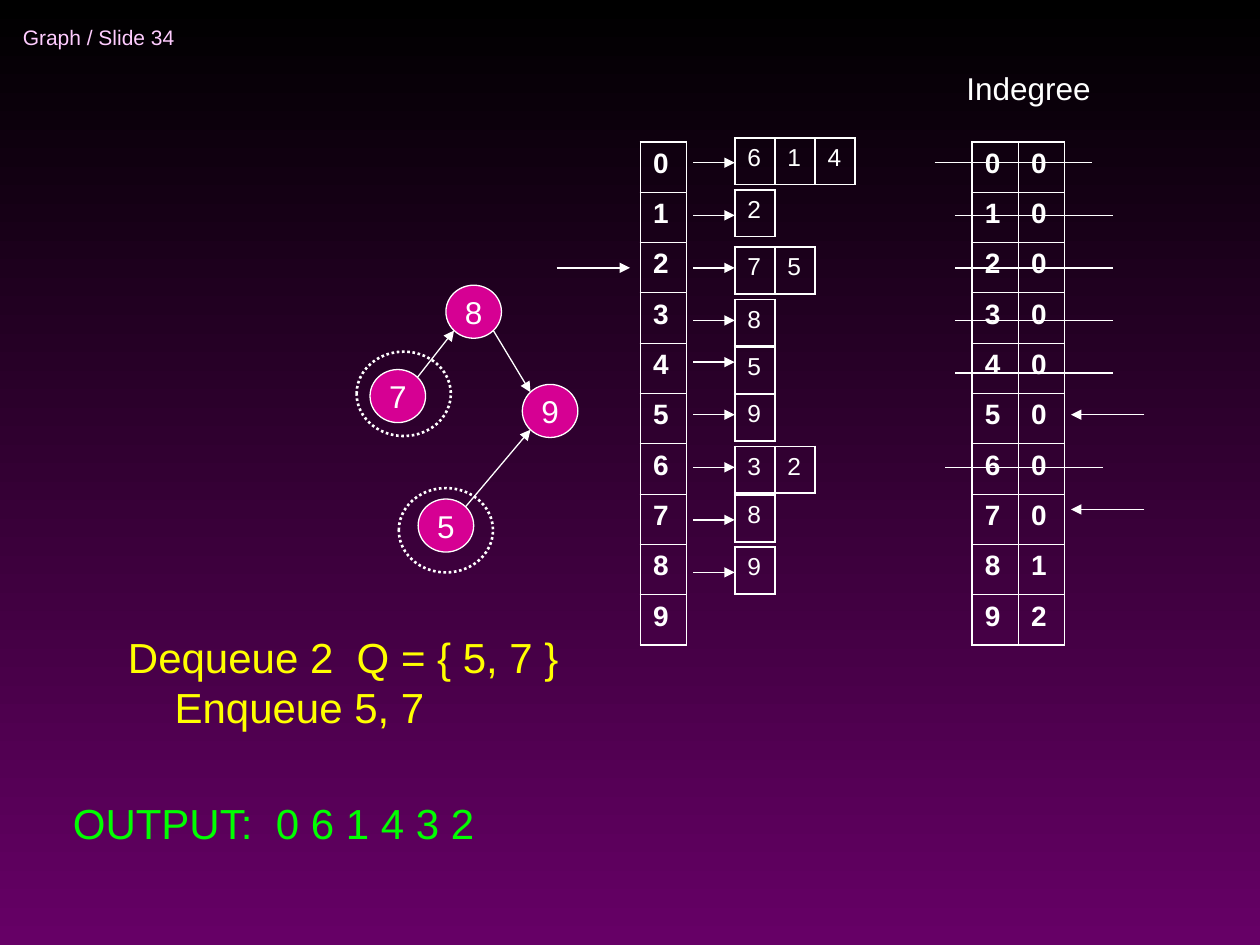
from math import sqrt

from lxml.etree import SubElement
from pptx import Presentation
from pptx.dml.color import RGBColor
from pptx.enum.dml import MSO_LINE
from pptx.enum.shapes import MSO_CONNECTOR, MSO_SHAPE
from pptx.enum.text import MSO_ANCHOR, MSO_AUTO_SIZE, PP_ALIGN
from pptx.oxml.ns import qn
from pptx.util import Cm, Pt

BLACK = RGBColor(0x00, 0x00, 0x00)
PURPLE = RGBColor(0x66, 0x00, 0x66)
WHITE = RGBColor(0xFF, 0xFF, 0xFF)
MAGENTA = RGBColor(0xD6, 0x00, 0x93)
PINK = RGBColor(0xFF, 0xCC, 0xFF)
YELLOW = RGBColor(0xFF, 0xFF, 0x00)
GREEN = RGBColor(0x00, 0xFF, 0x00)


def write_text(paragraph, text, size, color=WHITE, bold=False):
    paragraph.text = text
    font_format = {"name": "Arial", "size": Pt(size), "bold": bold}
    for name, value in font_format.items():
        setattr(paragraph.font, name, value)
    paragraph.font.color.rgb = color


def add_border(cell, side, width):
    """Draw one side (L, R, T or B) of a cell; call in that order."""
    border = SubElement(cell._tc.get_or_add_tcPr(), qn(f"a:ln{side}"), w=str(Pt(width)))
    fill = SubElement(border, qn("a:solidFill"))
    SubElement(fill, qn("a:srgbClr"), val=str(WHITE))


presentation = Presentation()
presentation.slide_width, presentation.slide_height = Cm(25.4), Cm(19.05)
slide = presentation.slides.add_slide(presentation.slide_layouts[6])
background = slide.background.fill
background.gradient()
background.gradient_angle = 270
for stop, color in zip(background.gradient_stops, (BLACK, PURPLE)):
    stop.color.rgb = color

# Text: left, top, width, height, size, color, lines
text_boxes = [
    (0.21, 0.22, 6.99, 1.07, 12, PINK, ["Graph / Slide 34"]),
    (19.23, 1.27, 3.3, 1.02, 18, WHITE, ["Indegree"]),
    (2.33, 12.6, 9.42, 2.29, 24, YELLOW, ["Dequeue 2  Q = { 5, 7 }", "Enqueue 5, 7"]),
    (1.22, 15.95, 9.93, 1.27, 24, GREEN, ["OUTPUT:  0 6 1 4 3 2"]),
]
for left, top, width, height, size, color, lines in text_boxes:
    text_box = slide.shapes.add_textbox(Cm(left), Cm(top), Cm(width), Cm(height))
    frame = text_box.text_frame
    frame.word_wrap = False
    if size == 12:
        frame.vertical_anchor = MSO_ANCHOR.MIDDLE
    else:
        frame.auto_size = MSO_AUTO_SIZE.SHAPE_TO_FIT_TEXT
    for index, line in enumerate(lines):
        paragraph = frame.add_paragraph() if index else frame.paragraphs[0]
        if index:
            paragraph._p.get_or_add_pPr().set("marL", str(Cm(0.94)))
        write_text(paragraph, line, size, color)

# Graph nodes
NODE_WIDTH, NODE_HEIGHT = 1.12, 1.07
nodes = {"5": (8.43, 10.06), "7": (7.46, 7.45), "8": (8.99, 5.75), "9": (10.53, 7.75)}
ellipses = [(*corner, NODE_WIDTH, NODE_HEIGHT, label) for label, corner in nodes.items()]
ellipses += [(7.19, 7.09, 1.9, 1.7, ""), (8.04, 9.84, 1.9, 1.7, "")]
for left, top, width, height, label in ellipses:
    ellipse = slide.shapes.add_shape(
        MSO_SHAPE.OVAL, Cm(left), Cm(top), Cm(width), Cm(height))
    ellipse.shadow.inherit = False
    ellipse.line.color.rgb = WHITE
    if label:
        ellipse.fill.solid()
        ellipse.fill.fore_color.rgb = MAGENTA
        ellipse.line.width = Pt(0.75)
        ellipse.text_frame.vertical_anchor = MSO_ANCHOR.MIDDLE
        ellipse.text_frame.word_wrap = False
        paragraph = ellipse.text_frame.paragraphs[0]
        paragraph.alignment = PP_ALIGN.CENTER
        write_text(paragraph, label, 18)
    else:
        ellipse.fill.background()
        ellipse.line.width = Pt(1.5)
        ellipse.line.dash_style = MSO_LINE.ROUND_DOT

# Tables: left, top, column width, row height, rows, size, bold, inner rule width
vertices = [[str(number)] for number in range(10)]
indegrees = [[digit] for digit in "0000000012"]
tables = [
    (left, 2.86, 0.93, 10.14 / len(rows), rows, 16, True, 0.45)
    for left, rows in ((12.91, vertices), (19.6, vertices), (20.53, indegrees))
]
LIST_LEFT = 14.81
adjacency = ["614", "2", "75", "8", "5", "9", "32", "8", "9"]
list_tops = [2.78, 3.83, 4.98, 6.04, 7, 7.95, 9, 9.98, 11.03]
tables += [
    (LIST_LEFT, top, 0.81, 0.94, [list(neighbours)], 14, False, 1.08)
    for top, neighbours in zip(list_tops, adjacency)
]
for left, top, width, height, rows, size, bold, rule in tables:
    row_count, column_count = len(rows), len(rows[0])
    table = slide.shapes.add_table(
        row_count, column_count, Cm(left), Cm(top),
        Cm(width * column_count), Cm(height * row_count)).table
    table.first_row = table.horz_banding = False
    for row_index, row in enumerate(rows):
        table.rows[row_index].height = Cm(height)
        for column_index, text in enumerate(row):
            table.columns[column_index].width = Cm(width)
            cell = table.cell(row_index, column_index)
            write_text(cell.text_frame.paragraphs[0], text, size, bold=bold)
            add_border(cell, "L", 1.08)
            add_border(cell, "R", 1.08)
            add_border(cell, "T", rule if row_index else 1.08)
            add_border(cell, "B", rule if row_index < row_count - 1 else 1.08)
            cell.fill.background()

# Lines: start x, start y, end x, end y, arrowhead
ROW_STEP = 1.06
arrow_rows = [3.28 + ROW_STEP * i for i in range(4)]
arrow_rows += [7.3 + ROW_STEP * i for i in range(5)]
lines = [(13.97, y, LIST_LEFT, y, True) for y in arrow_rows]
lines += [(11.22, arrow_rows[2], 12.7, arrow_rows[2], True)]
lines += [(23.07, y, 21.59, y, True) for y in (arrow_rows[5], 10.27)]

strikes = [(18.84, arrow_rows[0]), (19.05, arrow_rows[6])]
strikes += [(19.26, 3.28 + ROW_STEP * i) for i in range(1, 5)]
lines += [(x, y, x + 3.18, y, False) for x, y in strikes]

# Edges meet the nodes on their diagonals: 1 is right or down, -1 left or up
edges = [("5", (1, -1), "9", (-1, 1)), ("8", (1, 1), "9", (-1, -1)),
         ("7", (1, -1), "8", (-1, 1))]
for source, source_side, target, target_side in edges:
    ends = []
    for label, (across, down) in ((source, source_side), (target, target_side)):
        left, top = nodes[label]
        ends += [left + NODE_WIDTH / 2 * (1 + across * sqrt(0.5)),
                 top + NODE_HEIGHT / 2 * (1 + down * sqrt(0.5))]
    lines.append((*ends, True))

for start_x, start_y, end_x, end_y, has_arrow in lines:
    connector = slide.shapes.add_connector(
        MSO_CONNECTOR.STRAIGHT, Cm(start_x), Cm(start_y), Cm(end_x), Cm(end_y))
    connector.line.color.rgb = WHITE
    connector.line.width = Pt(0.75)
    if has_arrow:
        SubElement(connector.line._get_or_add_ln(), qn("a:tailEnd"), type="triangle")
    SubElement(connector._element.spPr, qn("a:effectLst"))

presentation.save("out.pptx")
